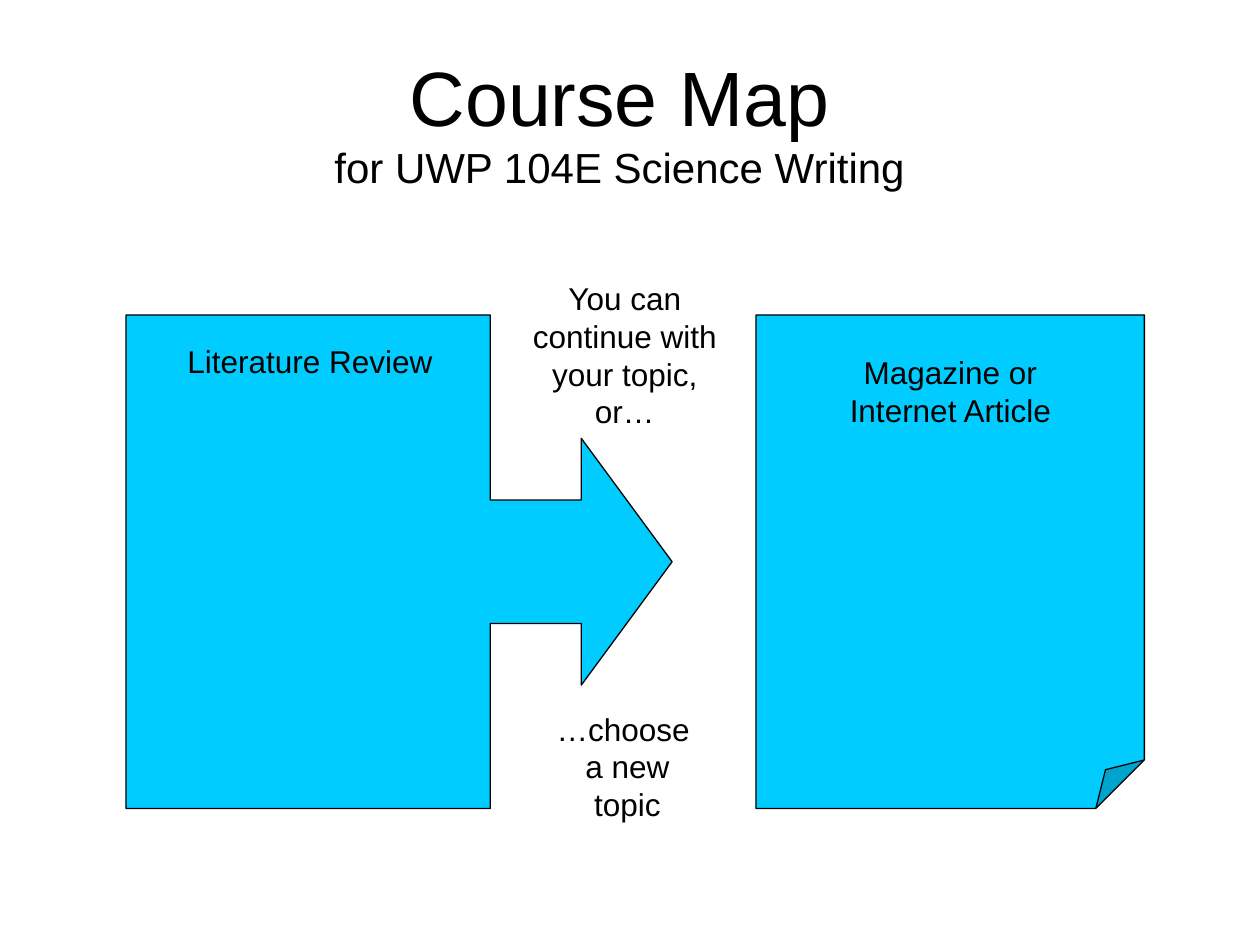
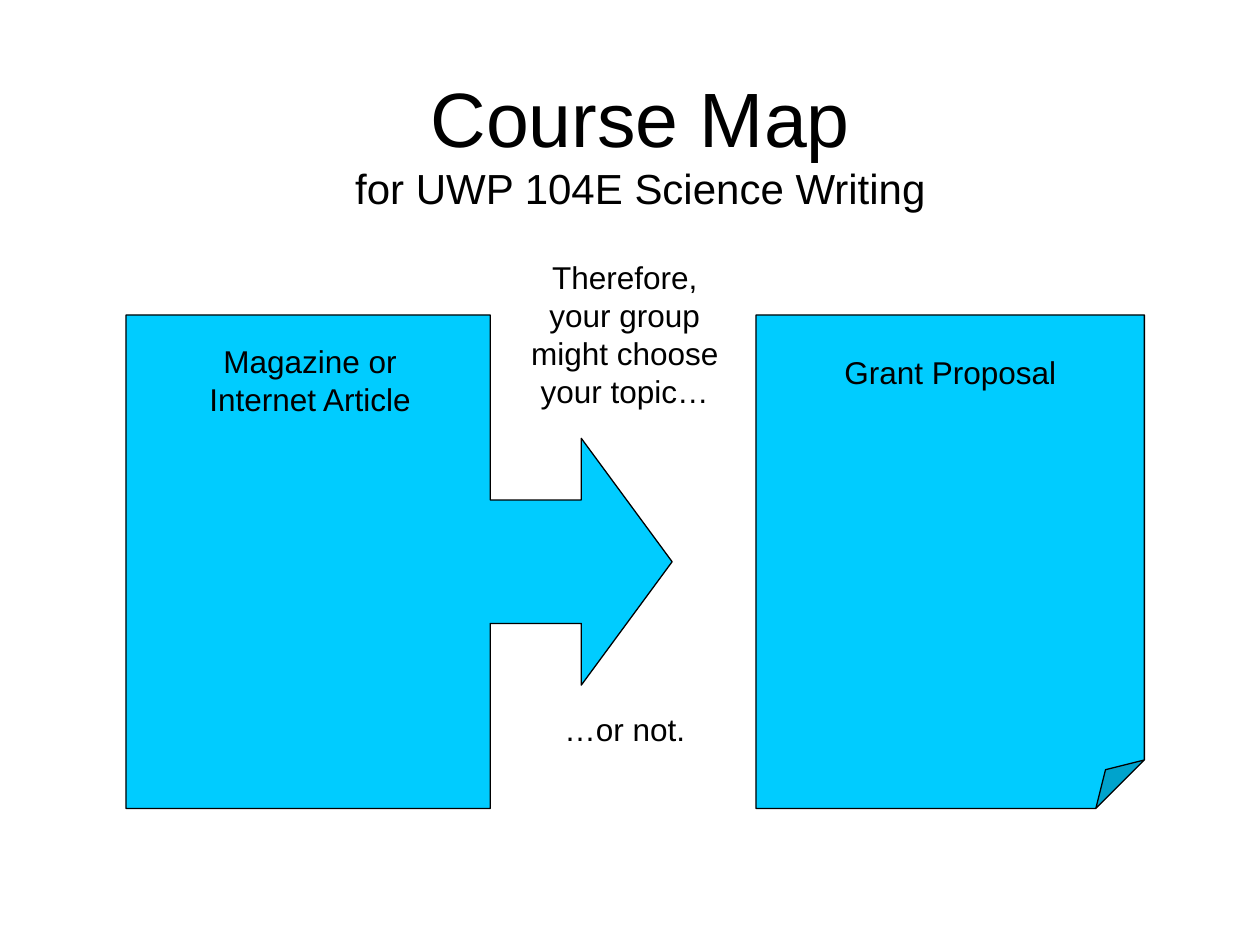
from dataclasses import dataclass

import lxml.etree
import pptx
import pptx.dml.color
import pptx.enum.shapes
import pptx.enum.text
import pptx.oxml.ns
import pptx.util

FONT = "Arial"
INK = "000000"
PAPER = "00CCFF"
TITLE = "Course Map\vfor UWP 104E Science Writing"
TITLE_SIZES = (44, 24)
LABEL_SIZE = 18

Cm = pptx.util.Cm
qn = pptx.oxml.ns.qn
SHAPES = pptx.enum.shapes.MSO_SHAPE
AUTO_SIZE = pptx.enum.text.MSO_AUTO_SIZE


@dataclass(frozen=True)
class Box:
    """A place on the slide, in centimetres."""
    left: float
    top: float
    width: float
    height: float

    def lengths(self) -> tuple:
        return Cm(self.left), Cm(self.top), Cm(self.width), Cm(self.height)


@dataclass(frozen=True)
class Label:
    text: str
    box: Box
    wrap: bool = True


@dataclass(frozen=True)
class Sheet:
    kind: SHAPES
    preset: str
    box: Box
    guides: dict[str, int]


@dataclass(frozen=True)
class CourseStep:
    title_box: Box
    labels: tuple[Label, ...]


SHEETS = (
    Sheet(SHAPES.RIGHT_ARROW_CALLOUT, "rightArrowCallout", Box(2.54, 6.35, 11.01, 9.95),
          {"adj1": 25000, "adj2": 25000, "adj3": 18400, "adj4": 66700}),
    Sheet(SHAPES.FOLDED_CORNER, "foldedCorner", Box(15.24, 6.35, 7.83, 9.95),
          {"adj": 12500}),
)

ONE_LINE, TWO_LINES, FOUR_LINES = 1.02, 1.78, 3.3


def from_label(text: str, height: float) -> Label:
    return Label(text, Box(3.39, 6.77, 5.72, height))


def to_label(text: str, height: float) -> Label:
    return Label(text, Box(16.3, 6.99, 5.72, height))


def between_label(text: str, top: float, height: float) -> Label:
    return Label(text, Box(10.37, top, 4.45, height))


STEPS = (
    CourseStep(Box(1.06, 0.85, 22.86, 3.18), (
        from_label("Literature Review", ONE_LINE),
        to_label("Magazine or Internet Article", TWO_LINES),
        between_label("You can continue with your topic, or…", 5.5, 4.47),
        Label("…choose \na new topic", Box(10.8, 14.18, 3.7, TWO_LINES), wrap=False),
    )),
    CourseStep(Box(1.48, 1.27, 22.86, 3.18), (
        from_label("Magazine or Internet Article", TWO_LINES),
        to_label("Grant Proposal", ONE_LINE),
        between_label("Therefore, your group might choose your topic…", 5.08, FOUR_LINES),
        between_label("…or not.", 14.18, ONE_LINE),
    )),
)


def color(hex_value: str) -> pptx.dml.color.RGBColor:
    return pptx.dml.color.RGBColor.from_string(hex_value)


def add_centred_text(slide, text: str, box: Box, sizes: tuple[int, ...], wrap: bool = True):
    """Add a text box whose runs take the sizes in turn, in each paragraph."""
    frame = slide.shapes.add_textbox(*box.lengths()).text_frame
    frame.text = text
    frame.word_wrap = wrap
    for paragraph in frame.paragraphs:
        paragraph.alignment = pptx.enum.text.PP_ALIGN.CENTER
        for run, size in zip(paragraph.runs, sizes):
            run.font.name = FONT
            run.font.size = pptx.util.Pt(size)
            run.font.color.rgb = color(INK)
    return frame


def add_title(slide, box: Box) -> None:
    frame = add_centred_text(slide, TITLE, box, TITLE_SIZES)
    frame.vertical_anchor = pptx.enum.text.MSO_ANCHOR.MIDDLE


def add_label(slide, label: Label) -> None:
    frame = add_centred_text(slide, label.text, label.box, (LABEL_SIZE,), label.wrap)
    frame.auto_size = AUTO_SIZE.SHAPE_TO_FIT_TEXT


def set_geometry(shape, preset: str, guides: dict[str, int]) -> None:
    """Write the preset and its guides, as python-pptx has no adjustment for a folded corner."""
    geometry = shape.element.spPr.find(qn("a:prstGeom"))
    geometry.set("prst", preset)
    for old_guides in geometry.findall(qn("a:avLst")):
        geometry.remove(old_guides)
    guide_list = lxml.etree.SubElement(geometry, qn("a:avLst"))
    for name, value in guides.items():
        lxml.etree.SubElement(guide_list, qn("a:gd"), name=name, fmla=f"val {value}")


def add_sheet(slide, sheet: Sheet) -> None:
    shape = slide.shapes.add_shape(sheet.kind, *sheet.box.lengths())
    set_geometry(shape, sheet.preset, sheet.guides)
    shape.shadow.inherit = False
    shape.fill.solid()
    shape.fill.fore_color.rgb = color(PAPER)
    shape.line.color.rgb = color(INK)
    shape.line.width = pptx.util.Pt(0.75)


def main() -> None:
    deck = pptx.Presentation()
    deck.slide_width, deck.slide_height = Cm(25.4), Cm(19.05)
    blank = deck.slide_layouts[6]
    for step in STEPS:
        slide = deck.slides.add_slide(blank)
        add_title(slide, step.title_box)
        for sheet in SHEETS:
            add_sheet(slide, sheet)
        for label in step.labels:
            add_label(slide, label)
    deck.save("out.pptx")


if __name__ == "__main__":
    main()
